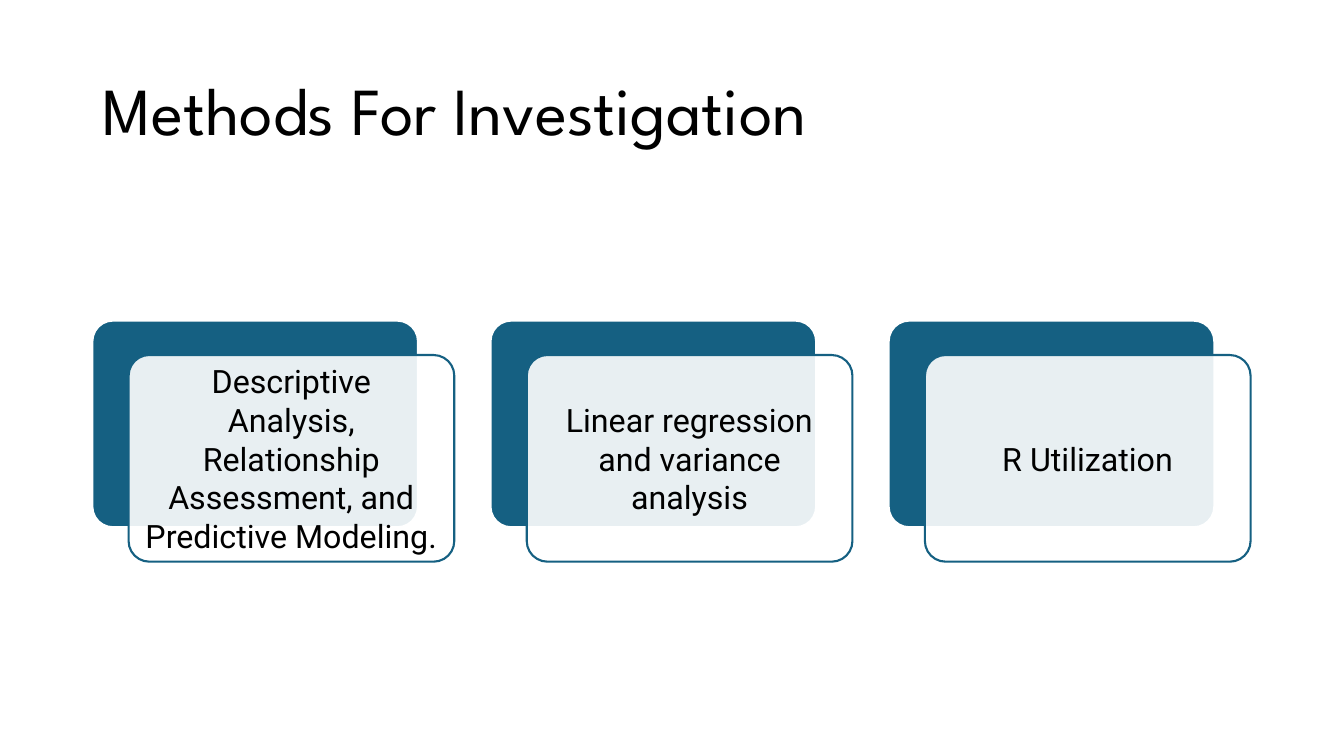
from lxml.etree import SubElement
from pptx import Presentation
from pptx.dml.color import RGBColor
from pptx.enum.shapes import MSO_SHAPE
from pptx.enum.text import MSO_ANCHOR, MSO_AUTO_SIZE, PP_ALIGN
from pptx.oxml.ns import qn
from pptx.util import Pt

COLORS = {"background": "FFFFFF", "text": "000000", "teal": "156082", "white": "FFFFFF"}
METHODS = [
    "Descriptive Analysis, Relationship Assessment, and Predictive Modeling.",
    "Linear regression and variance analysis",
    "R Utilization",
]

# Card grid, in points
CARD_LEFT, CARD_TOP = 66, 229
CARD_WIDTH, CARD_HEIGHT = 232.6, 147.6
CARD_PITCH = 284.4
FRONT_SHIFT_X, FRONT_SHIFT_Y = 25.9, 24.6


class SlideBuilder:
    """Holds the style and the current slide."""

    title_font, title_size = "League Spartan", 48
    body_font, body_size = "Roboto", 23

    def __init__(self, slide):
        self.slide = slide
        background = slide.background.fill
        background.solid()
        background.fore_color.rgb = self.color("background")

    def color(self, name):
        return RGBColor.from_string(COLORS[name])

    def add_run(self, paragraph, text, font, size):
        run = paragraph.add_run()
        run.text = text
        run.font.name = font
        run.font.size = Pt(size)
        run.font.color.rgb = self.color("text")

    def title(self, text, left, top, width, height):
        shape = self.slide.shapes.title
        shape.left, shape.top = Pt(left), Pt(top)
        shape.width, shape.height = Pt(width), Pt(height)
        frame = shape.text_frame
        frame.auto_size = MSO_AUTO_SIZE.NONE
        frame.vertical_anchor = MSO_ANCHOR.MIDDLE
        paragraph = frame.paragraphs[0]
        paragraph.alignment = PP_ALIGN.LEFT
        paragraph.line_spacing = 0.9
        self.add_run(paragraph, text, self.title_font, self.title_size)

    def panel(self, left, top, fill, line, opacity=100):
        shape = self.slide.shapes.add_shape(
            MSO_SHAPE.ROUNDED_RECTANGLE,
            Pt(left), Pt(top), Pt(CARD_WIDTH), Pt(CARD_HEIGHT))
        shape.adjustments[0] = 0.1
        shape.shadow.inherit = False
        shape.fill.solid()
        shape.fill.fore_color.rgb = self.color(fill)
        if opacity < 100:
            fill_color = shape._element.spPr.find(qn("a:solidFill"))[0]
            SubElement(fill_color, qn("a:alpha")).set("val", str(opacity * 1000))
        shape.line.color.rgb = self.color(line)
        shape.line.width = Pt(1.5)
        return shape

    def card(self, text, left, top):
        self.panel(left, top, "teal", "white")
        front = self.panel(left + FRONT_SHIFT_X, top + FRONT_SHIFT_Y,
                           "white", "teal", opacity=90)
        frame = front.text_frame
        frame.word_wrap = True
        frame.vertical_anchor = MSO_ANCHOR.MIDDLE
        frame.margin_left = frame.margin_right = Pt(7)
        frame.margin_top = frame.margin_bottom = Pt(7)
        paragraph = frame.paragraphs[0]
        paragraph.alignment = PP_ALIGN.CENTER
        self.add_run(paragraph, text, self.body_font, self.body_size)


def main():
    presentation = Presentation()
    presentation.slide_width, presentation.slide_height = Pt(960), Pt(540)
    title_only = presentation.slide_layouts[5]
    builder = SlideBuilder(presentation.slides.add_slide(title_only))

    # Title
    builder.title("Methods For Investigation", 66, 28.8, 828, 104.4)

    # One card per method
    for index, method in enumerate(METHODS):
        builder.card(method, CARD_LEFT + index * CARD_PITCH, CARD_TOP)

    presentation.save("out.pptx")


if __name__ == "__main__":
    main()
